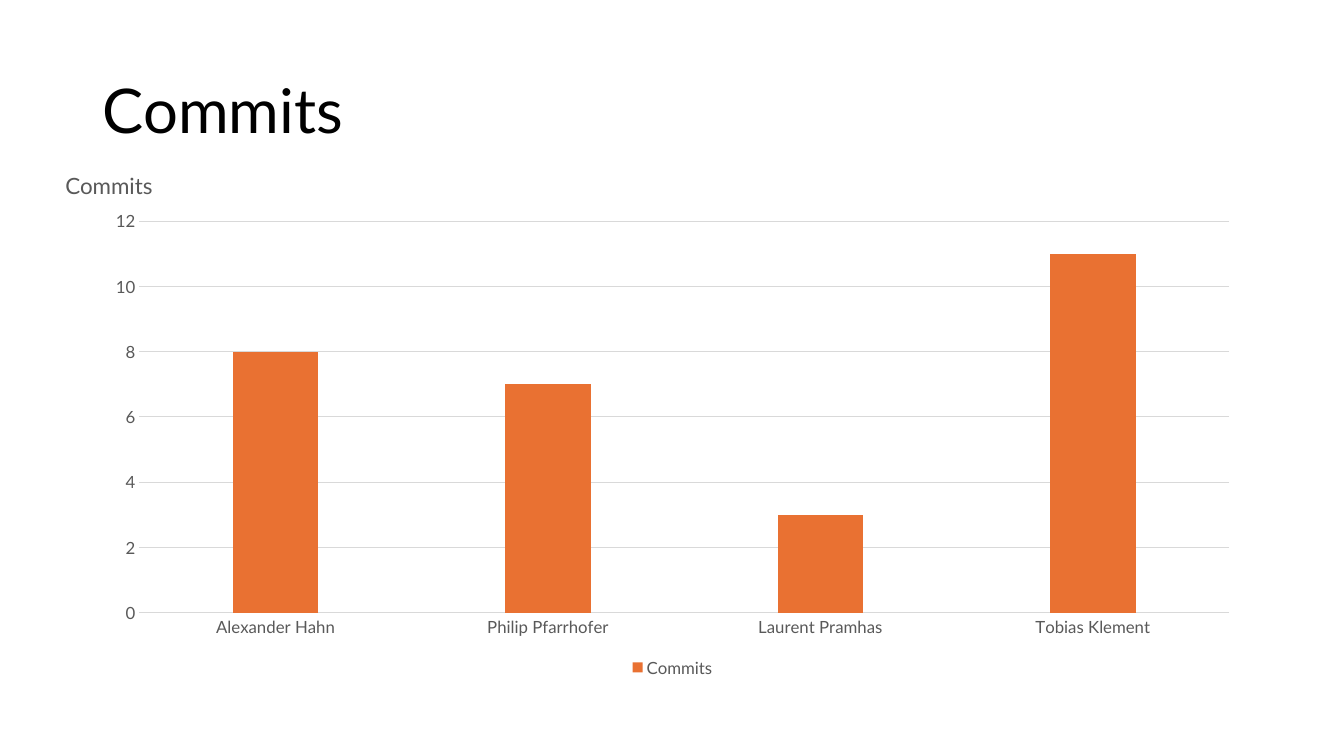
from pptx import Presentation
from pptx.chart.data import CategoryChartData
from pptx.dml.color import RGBColor
from pptx.enum.chart import XL_CHART_TYPE as ChartType, XL_LEGEND_POSITION as LegendPosition
from pptx.enum.chart import XL_TICK_MARK as TickMark
from pptx.enum.text import MSO_ANCHOR as Anchor
from pptx.util import Inches, Pt

BLACK = RGBColor(0x00, 0x00, 0x00)
GRAY = RGBColor(0x59, 0x59, 0x59)
RULE = RGBColor(0xD9, 0xD9, 0xD9)
ORANGE = RGBColor(0xE9, 0x71, 0x32)
FONT = "Lato"
COMMITS = {
    "Alexander Hahn": 8,
    "Philip Pfarrhofer": 7,
    "Laurent Pramhas": 3,
    "Tobias Klement": 11,
}


def style_font(font, size, color):
    """Set the typeface, size and colour of a font."""
    font.name = FONT
    font.size = Pt(size)
    font.bold = False
    font.color.rgb = color


def style_line(line, color):
    """Give a line its colour and thin width."""
    line.color.rgb = color
    line.width = Pt(0.75)


def add_text(page, box, text, size=16, color=GRAY, anchor=Anchor.TOP, spacing=None):
    """Place one line of text in the given box."""
    frame = page.shapes.add_textbox(*map(Inches, box)).text_frame
    frame.word_wrap = True
    frame.vertical_anchor = anchor
    para = frame.paragraphs[0]
    para.line_spacing = spacing
    span = para.add_run()
    span.text = text
    style_font(span.font, size, color)


def add_commit_chart(page, box):
    """Draw the columns of commits per person in the given box."""
    data = CategoryChartData()
    data.categories = list(COMMITS)
    data.add_series("Commits", list(COMMITS.values()))
    chart = page.shapes.add_chart(
        ChartType.COLUMN_CLUSTERED, *map(Inches, box), data
    ).chart
    style_font(chart.font, 10, BLACK)
    chart.has_title = False

    chart.has_legend = True
    chart.legend.position = LegendPosition.BOTTOM
    chart.legend.include_in_layout = False
    style_font(chart.legend.font, 12, GRAY)

    plot = chart.plots[0]
    plot.gap_width = 219
    plot.overlap = -27
    plot.vary_by_categories = False
    fill = plot.series[0].format.fill
    fill.solid()
    fill.fore_color.rgb = ORANGE

    for axis in (chart.category_axis, chart.value_axis):
        axis.major_tick_mark = axis.minor_tick_mark = TickMark.NONE
        style_font(axis.tick_labels.font, 12, GRAY)
    style_line(chart.category_axis.format.line, RULE)
    chart.value_axis.format.line.fill.background()
    chart.value_axis.has_major_gridlines = True
    style_line(chart.value_axis.major_gridlines.format.line, RULE)


def build_commits_page(page, left, top, width):
    """Lay out the title, the chart and its label below a top left corner."""
    add_text(page, (left, top, width, 1.45), "Commits", size=44, color=BLACK,
             anchor=Anchor.MIDDLE, spacing=0.9)
    add_commit_chart(page, (left, top + 1.6, width, 4.76))
    add_text(page, (left - 0.37, top + 1.26, 1.18, 0.37), "Commits")


def main():
    """Build and save the deck."""
    deck = Presentation()
    deck.slide_width, deck.slide_height = Inches(13.33), Inches(7.5)
    page = deck.slides.add_slide(deck.slide_layouts[6])
    build_commits_page(page, 0.92, 0.4, 11.5)
    deck.save("out.pptx")


if __name__ == "__main__":
    main()
